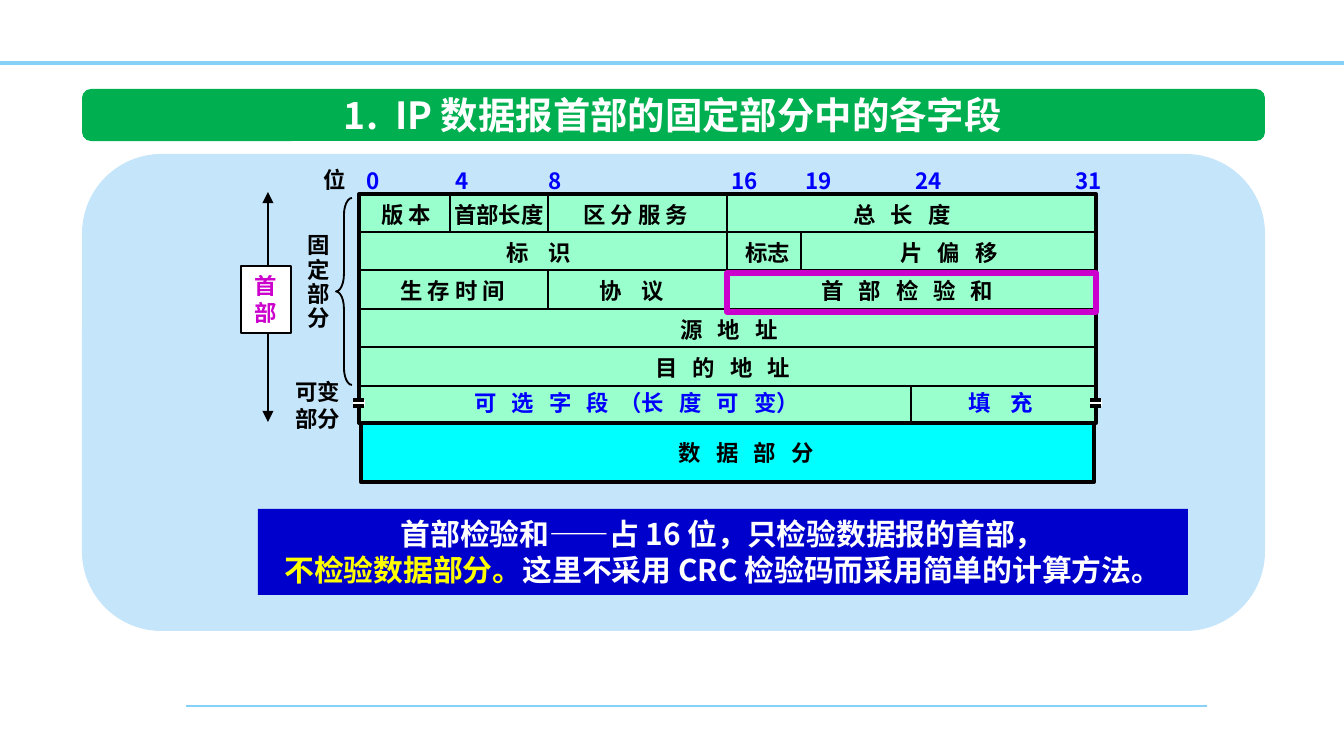
from dataclasses import dataclass
from typing import NamedTuple

from lxml.etree import SubElement
from pptx import Presentation
from pptx.dml.color import RGBColor
from pptx.enum.shapes import MSO_CONNECTOR, MSO_SHAPE
from pptx.enum.text import MSO_ANCHOR, MSO_AUTO_SIZE, PP_ALIGN
from pptx.oxml.ns import qn
from pptx.util import Pt

EMU_PER_PX = 914400 / 134.4


@dataclass(frozen=True)
class Theme:
    font: str = "Noto Sans CJK SC"
    title_size: int = 20
    note_size: int = 16
    label_size: int = 12
    black: str = "000000"
    white: str = "FFFFFF"
    rule: str = "85D1F7"
    green: str = "00B050"
    panel: str = "C5E5FB"
    header: str = "99FFCC"
    data: str = "00FFFF"
    blue: str = "0000FF"
    navy: str = "0000CC"
    yellow: str = "FFFF00"
    magenta: str = "CC00CC"


THEME = Theme()


class Box(NamedTuple):
    x: int
    y: int
    w: int
    h: int


class Run(NamedTuple):
    text: str
    spacing: float = 0
    color: str | None = None


class Field(NamedTuple):
    row: int
    x: int
    w: int
    runs: list[Run]
    color: str = THEME.black


class Divider(NamedTuple):
    bit: int
    first_row: int
    end_row: int


class BitMark(NamedTuple):
    bit: int
    x: int
    w: int


WIDE, WIDER = 2.7, 4  # letter spacing in points
LEFT, RIGHT = 359, 1096
ROW_Y = [194 + 192 * i // 5 for i in range(6)] + [423]
BIT_X = {4: 450, 8: 548, 16: 727, 19: 801, 24: 911}
DIVIDERS = [Divider(4, 0, 1), Divider(8, 0, 1), Divider(8, 2, 3),
            Divider(16, 0, 3), Divider(19, 1, 2), Divider(24, 5, 6)]
BIT_MARKS = [BitMark(0, 353, 40), BitMark(4, 442, 40), BitMark(8, 535, 40),
             BitMark(16, 718, 55), BitMark(19, 792, 55),
             BitMark(24, 902, 55), BitMark(31, 1062, 55)]
FIELDS = [
    Field(0, 368, 79, [Run("版 本")]),
    Field(0, 441, 117, [Run("首部长度")]),
    Field(0, 570, 138, [Run("区 分 服 务")]),
    Field(0, 840, 136, [Run("总 长 度", WIDE)]),
    Field(1, 493, 99, [Run("标 识", WIDER)]),
    Field(1, 732, 73, [Run("标志")]),
    Field(1, 887, 136, [Run("片 偏 移", WIDE)]),
    Field(2, 387, 138, [Run("生 存 时 间")]),
    Field(2, 586, 99, [Run("协 议", WIDER)]),
    Field(2, 808, 222, [Run("首 部 检 验 和", WIDE)]),
    Field(3, 667, 136, [Run("源 地 址", WIDE)]),
    Field(4, 642, 179, [Run("目 的 地 址", WIDE)]),
    Field(5, 461, 390, [Run("可 选 字 段", WIDE), Run(" （"),
                        Run("长 度 可 ", WIDE), Run("变）")], THEME.blue),
    Field(5, 955, 99, [Run("填 充", WIDER)], THEME.blue),
]


def px(value: float) -> int:
    return round(value * EMU_PER_PX)


def rgb(value: str) -> RGBColor:
    return RGBColor.from_string(value)


def write(sp, paragraphs: list[list[Run]], *, size: int = THEME.label_size,
          color: str = THEME.black, align=PP_ALIGN.LEFT, anchor=MSO_ANCHOR.TOP,
          wrap: bool = False, inset: bool = True, leading: float = 1.0) -> None:
    tf = sp.text_frame
    tf.word_wrap = wrap
    tf.auto_size = MSO_AUTO_SIZE.SHAPE_TO_FIT_TEXT
    tf.vertical_anchor = anchor
    if not inset:
        tf.margin_left = tf.margin_right = tf.margin_top = tf.margin_bottom = 0
    for i, runs in enumerate(paragraphs):
        p = tf.paragraphs[0] if i == 0 else tf.add_paragraph()
        p.alignment, p.line_spacing = align, leading
        p.space_before = Pt(0)
        for run in runs:
            r = p.add_run()
            r.text = run.text
            r.font.size, r.font.bold, r.font.name = Pt(size), True, THEME.font
            r.font.color.rgb = rgb(run.color or color)
            props = r._r.get_or_add_rPr()
            SubElement(props, qn("a:ea"), typeface=THEME.font)
            if run.spacing:
                props.set("spc", str(round(run.spacing * 100)))


def add_label(s, box: Box, paragraphs: list[list[Run]], **style):
    sp = s.shapes.add_textbox(*map(px, box))
    write(sp, paragraphs, **style)
    return sp


def add_block(s, box: Box, *, fill: str | None = None, line: str | None = None,
              width: float = 1, kind=MSO_SHAPE.RECTANGLE):
    sp = s.shapes.add_shape(kind, *map(px, box))
    sp.shadow.inherit = False
    if fill:
        sp.fill.solid()
        sp.fill.fore_color.rgb = rgb(fill)
    else:
        sp.fill.background()
    if line:
        sp.line.color.rgb = rgb(line)
        sp.line.width = Pt(width)
    else:
        sp.line.fill.background()
    return sp


def add_line(s, x1: int, y1: int, x2: int, y2: int, *,
             color: str = THEME.black, width: float = 1, arrows: bool = False) -> None:
    c = s.shapes.add_connector(MSO_CONNECTOR.STRAIGHT, *map(px, (x1, y1, x2, y2)))
    c.line.color.rgb = rgb(color)
    c.line.width = Pt(width)
    if arrows:
        for end in ("a:headEnd", "a:tailEnd"):
            SubElement(c.line._get_or_add_ln(), qn(end), type="triangle")
    SubElement(c._element.spPr, qn("a:effectLst"))


def add_title(s) -> None:
    bar = add_block(s, Box(82, 89, 1183, 52), fill=THEME.green,
                    kind=MSO_SHAPE.ROUNDED_RECTANGLE)
    bar.adjustments[0] = 0.17
    title = s.shapes.title
    title.left, title.top, title.width, title.height = map(px, Box(318, 85, 710, 59))
    write(title, [[Run("1."), Run(" ", 4.5), Run("IP 数据报首部的固定部分中的各字段")]],
          size=THEME.title_size, color=THEME.white, align=PP_ALIGN.CENTER,
          anchor=MSO_ANCHOR.MIDDLE, inset=False)
    bar._element.addnext(title._element)


def add_datagram(s) -> None:
    add_block(s, Box(LEFT, ROW_Y[0], RIGHT - LEFT, ROW_Y[-1] - ROW_Y[0]),
              fill=THEME.header, line=THEME.black, width=2)
    add_block(s, Box(361, 423, 733, 59), fill=THEME.data, line=THEME.black, width=2.25)
    for y in ROW_Y[1:-1]:
        add_line(s, LEFT, y, RIGHT, y)
    for d in DIVIDERS:
        add_line(s, BIT_X[d.bit], ROW_Y[d.first_row], BIT_X[d.bit], ROW_Y[d.end_row])
    for m in BIT_MARKS:
        add_label(s, Box(m.x, 161, m.w, 40), [[Run(str(m.bit))]], color=THEME.blue)
    for f in FIELDS:
        y = min(ROW_Y[f.row] + 1, 383)
        add_label(s, Box(f.x, y, f.w, 40), [f.runs], color=f.color)
    add_label(s, Box(610, 433, 273, 40), [[Run("数 据 部 分", WIDE)]],
              align=PP_ALIGN.CENTER, wrap=True)
    for x in (353, 1090):
        add_block(s, Box(x, 400, 12, 6), fill=THEME.white)
        for y in (400, 406):
            add_line(s, x, y, x + 11, y, width=2)


def add_side_labels(s) -> None:
    add_label(s, Box(310, 160, 50, 40), [[Run("位")]])
    add_label(s, Box(294, 228, 50, 112), [[Run(c)] for c in "固定部分"], leading=0.9)
    add_label(s, Box(282, 372, 73, 67), [[Run("可变")], [Run("部分")]])
    brace = add_block(s, Box(336, 198, 16, 187), line=THEME.black,
                      kind=MSO_SHAPE.LEFT_BRACE)
    brace.adjustments[0], brace.adjustments[1] = 1.08, 0.5
    add_line(s, 268, 192, 268, 422, arrows=True)
    header = add_block(s, Box(241, 266, 50, 67), fill=THEME.white, line=THEME.black)
    write(header, [[Run(c)] for c in "首部"], color=THEME.magenta)


def add_note(s) -> None:
    note = add_block(s, Box(258, 509, 930, 86), fill=THEME.navy)
    write(note, [[Run("首部检验和——占 16 位，只检验数据报的首部，")],
                 [Run("不检验数据部分。", color=THEME.yellow),
                  Run("这里不采用 CRC 检验码而采用简单的计算方法。")]],
          size=THEME.note_size, color=THEME.white, align=PP_ALIGN.CENTER,
          anchor=MSO_ANCHOR.MIDDLE, inset=False)


def main() -> None:
    prs = Presentation()
    prs.slide_width, prs.slide_height = px(1344), px(756)
    s = prs.slides.add_slide(prs.slide_layouts[5])
    add_line(s, 186, 706, 1207, 706, color=THEME.rule, width=1.5)
    add_line(s, 0, 63, 1344, 63, color=THEME.rule, width=2)
    add_title(s)
    add_block(s, Box(82, 154, 1183, 477), fill=THEME.panel,
              kind=MSO_SHAPE.ROUNDED_RECTANGLE)
    add_datagram(s)
    add_side_labels(s)
    add_note(s)
    add_block(s, Box(727, 273, 369, 39), line=THEME.magenta, width=3)
    prs.save("out.pptx")


if __name__ == "__main__":
    main()
